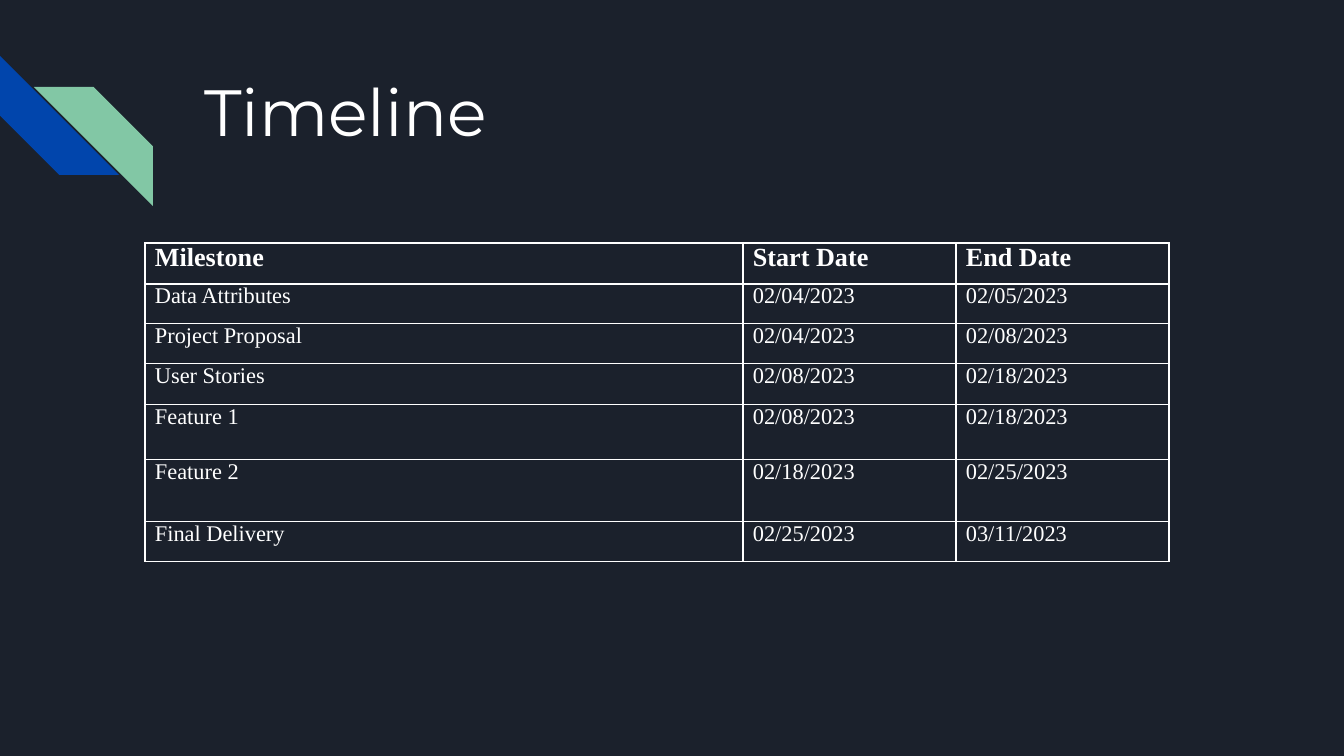
from pptx import Presentation
from pptx import util as u
from pptx.dml.color import RGBColor
from pptx.enum import shapes, text
from pptx.oxml import parse_xml
from pptx.oxml.ns import nsdecls

PX = u.Inches(1) / 134.4
WHITE = "FFFFFF"
INSET = 13

COLUMNS = [598, 213, 213]
ROWS = [41, 40, 40, 41, 55, 62, 40]
MILESTONES = [
    ("Milestone", "Start Date", "End Date"),
    ("Data Attributes", "02/04/2023", "02/05/2023"),
    ("Project Proposal", "02/04/2023", "02/08/2023"),
    ("User Stories", "02/08/2023", "02/18/2023"),
    ("Feature 1", "02/08/2023", "02/18/2023"),
    ("Feature 2", "02/18/2023", "02/25/2023"),
    ("Final Delivery", "02/25/2023", "03/11/2023"),
]


def px(length):
    return u.Emu(round(length * PX))


def colour(value):
    return RGBColor.from_string(value)


def style(para, font, size, bold=False):
    para.alignment = text.PP_ALIGN.LEFT
    para.font.name = font
    para.font.size = u.Pt(size)
    para.font.bold = bold
    para.font.color.rgb = colour(WHITE)


def add_stripe(page, left, top, size, fill):
    stripe = page.shapes.add_shape(
        shapes.MSO_SHAPE.DIAGONAL_STRIPE, px(left), px(top), px(size), px(size))
    stripe.shadow.inherit = False
    stripe.fill.solid()
    stripe.fill.fore_color.rgb = colour(fill)
    stripe.line.fill.background()
    return stripe


def set_title(page, words, left, top, width, height):
    title = page.shapes.title
    title.left, title.top = px(left), px(top)
    title.width, title.height = px(width), px(height)
    frame = title.text_frame
    frame.text = words
    frame.word_wrap = True
    frame.auto_size = text.MSO_AUTO_SIZE.NONE
    frame.vertical_anchor = text.MSO_ANCHOR.TOP
    frame.margin_left = frame.margin_right = px(INSET)
    frame.margin_top = frame.margin_bottom = px(INSET)
    style(frame.paragraphs[0], "Montserrat", 35)


def set_borders(cell, value, points):
    properties = cell._tc.get_or_add_tcPr()
    for index, side in enumerate(("lnL", "lnR", "lnT", "lnB")):
        properties.insert(index, parse_xml(
            f'<a:{side} {nsdecls("a")} w="{u.Pt(points)}"><a:solidFill>'
            f'<a:srgbClr val="{value}"/></a:solidFill></a:{side}>'))


def fill_cell(cell, words, is_header):
    cell.fill.background()
    cell.margin_left = cell.margin_right = px(10)
    cell.margin_top = cell.margin_bottom = 0
    cell.vertical_anchor = text.MSO_ANCHOR.TOP
    cell.text = words
    style(cell.text_frame.paragraphs[0], "Times New Roman",
          14 if is_header else 12, is_header)
    set_borders(cell, WHITE, 0.75)


def add_schedule(page, left, top):
    table = page.shapes.add_table(
        len(ROWS), len(COLUMNS), px(left), px(top),
        px(sum(COLUMNS)), px(sum(ROWS))).table
    table.horz_banding = False
    for column, width in zip(table.columns, COLUMNS):
        column.width = px(width)
    for index, (row, height) in enumerate(zip(table.rows, ROWS)):
        row.height = px(height)
        for cell, words in zip(row.cells, MILESTONES[index]):
            fill_cell(cell, words, index == 0)


def main():
    deck = Presentation()
    deck.slide_width, deck.slide_height = px(1344), px(756)
    page = deck.slides.add_slide(deck.slide_layouts[5])
    page.background.fill.solid()
    page.background.fill.fore_color.rgb = colour("1B212C")

    # Corner stripes
    add_stripe(page, 0, 56, 119, "0145AC").rotation = 270
    green = add_stripe(page, 34, 87, 119, "82C7A5")
    green._element.spPr.xfrm.set("flipH", "1")

    # Title and milestone table
    set_title(page, "Timeline", 191, 58, 1035, 134)
    add_schedule(page, 145, 243)

    deck.save("out.pptx")


if __name__ == "__main__":
    main()
